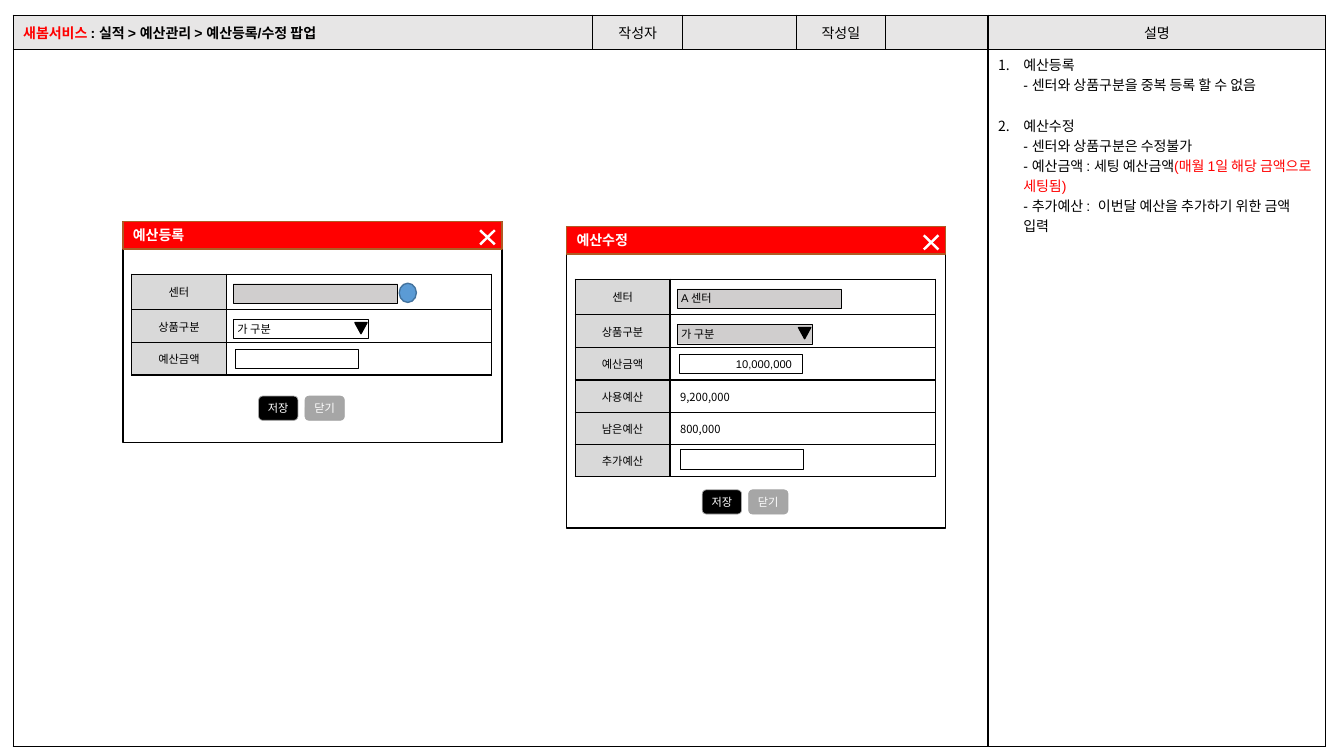
from lxml.etree import SubElement
from pptx import Presentation
from pptx.dml.color import RGBColor
from pptx.enum.shapes import MSO_SHAPE as Kind
from pptx.enum.text import MSO_ANCHOR as Anchor, PP_ALIGN as Align
from pptx.oxml import parse_xml
from pptx.oxml.ns import nsdecls, qn
from pptx.util import Inches, Pt

COLS, ROWS = 1333, 750
KOR, LAT = "Noto Sans CJK KR", "Arial"
BLACK, WHITE, RED = "000000", "FFFFFF", "FF0000"
GRAY, PALE, LOCK = "E7E6E6", "D9D9D9", "D0CECE"
LEFT, MID, RIGHT = Align.LEFT, Align.CENTER, Align.RIGHT

deck = Presentation()
deck.slide_width, deck.slide_height = Inches(13.33), Inches(7.5)
unit = deck.slide_width // COLS
slide = deck.slides.add_slide(deck.slide_layouts[6])
shapes = slide.shapes


def paint(fill, color):
    fill.solid()
    fill.fore_color.rgb = RGBColor.from_string(color)


def write(par, text, size, face, ink=BLACK, bold=False):
    for i, line in enumerate(text.split("\n")):
        if i:
            par.add_line_break()
            SubElement(par._p[-1], qn("a:rPr"), sz=str(size * 100))
        if line:
            run = par.add_run()
            run.text = line
            run.font.size, run.font.name, run.font.bold = Pt(size), face, bold
            paint(run.font.fill, ink)
            SubElement(run._r.get_or_add_rPr(), qn("a:ea"), typeface=KOR)


sheet = shapes.add_table(2, 6, 13 * unit, 15 * unit, 1302 * unit, 726 * unit).table
for col, wide in zip(sheet.columns, (575, 89, 113, 88, 102, 335)):
    col.width = wide * unit
for row, high in zip(sheet.rows, (34, 692)):
    row.height = high * unit
for i, label in enumerate(("", "작성자", "", "작성일", "", "설명")):
    cell = sheet.cell(0, i)
    paint(cell.fill, GRAY)
    cell.vertical_anchor = Anchor.MIDDLE
    par = cell.text_frame.paragraphs[0]
    if label:
        par.alignment = MID
        write(par, label, 10, LAT)
title = sheet.cell(0, 0).text_frame.paragraphs[0]
write(title, "새봄서비스 ", 10, LAT, RED, True)
write(title, ": 실적 > 예산관리 > 예산등록/수정 팝업", 10, LAT, BLACK, True)
sheet.cell(1, 0).merge(sheet.cell(1, 4))

notes = [
    [("예산등록\n- 센터와 상품구분을 중복 등록 할 수 없음", BLACK)],
    [("예산수정\n- 센터와 상품구분은 수정불가\n- 예산금액 : 세팅 예산금액", BLACK),
     ("(매월 1일 해당 금액으로 세팅됨)\n", RED),
     ("- 추가예산 :  이번달 예산을 추가하기 위한 금액 입력", BLACK)],
]
frame = sheet.cell(1, 5).text_frame
for i, note in enumerate(notes):
    par = frame.add_paragraph() if i else frame.paragraphs[0]
    props = par._p.get_or_add_pPr()
    props.set("marL", str(25 * unit))
    props.set("indent", str(-25 * unit))
    SubElement(props, qn("a:buAutoNum"), type="arabicPeriod")
    if i:
        par.space_before = Pt(14.4)
    for text, ink in note:
        write(par, text, 10, LAT, ink)

tables = [sheet]
base = [("센터", ""), ("상품구분", ""), ("예산금액", "")]
more = [("사용예산", "9,200,000"), ("남은예산", "800,000"), ("추가예산", "")]
popups = [
    (122, 220, 219, "예산등록", base, 173, "", WHITE, "",
     [(Kind.OVAL, 274, 61, 17, 19, "5B9BD5", "43739E", 1, "", None)]),
    (562, 225, 299, "예산수정", base + more, 261, "A 센터", LOCK, "10,000,000",
     [(Kind.RECTANGLE, 113, 221, 122, 19, WHITE, BLACK, 0.25, "", None)]),
]
head = (10, KOR, WHITE, True, LEFT, (10, 5, 10, 5))
entry = (8, LAT, BLACK, False, LEFT, (4, 5, 10, 5))
money = (8, LAT, BLACK, False, RIGHT, (4, 5, 10, 5))
press = (8, KOR, WHITE, False, MID, (0, 0, 0, 0))

for left, top, tall, name, lines, foot, center, tone, sum_, extra in popups:
    panel = shapes.add_shape(Kind.RECTANGLE, left * unit, top * unit, 376 * unit, tall * unit)
    panel.shadow.inherit = False
    paint(panel.fill, WHITE)
    paint(panel.line.fill, BLACK)
    panel.line.width = Pt(1)

    highs = [35, 33] + [32] * (len(lines) - 2)
    form = shapes.add_table(len(lines), 2, (left + 8.5) * unit, (top + 52) * unit,
                            357 * unit, sum(highs) * unit).table
    tables.append(form)
    form.columns[0].width, form.columns[1].width = 94 * unit, 263 * unit
    for r, (pair, high) in enumerate(zip(lines, highs)):
        form.rows[r].height = high * unit
        for c, text in enumerate(pair):
            cell = form.cell(r, c)
            paint(cell.fill, WHITE if c else PALE)
            cell.vertical_anchor = Anchor.MIDDLE
            par = cell.text_frame.paragraphs[0]
            par.alignment = LEFT if c else MID
            write(par, text, 8, KOR)

    parts = [
        (Kind.RECTANGLE, 0, 0, 376, 27, RED, "AF5C24", 1, name, head),
        (Kind.RECTANGLE, 109.5, 61.5, 163, 19, LOCK, BLACK, 0.25, center, entry),
        (Kind.RECTANGLE, 109.5, 97, 134, 19, tone, BLACK, 0.25, "가 구분", entry),
        (Kind.ISOSCELES_TRIANGLE, 230, 100, 12, 11, BLACK, BLACK, 1, "", None),
        (Kind.RECTANGLE, 111.5, 126.5, 122, 19, WHITE, BLACK, 0.25, sum_, money),
        (Kind.ROUNDED_RECTANGLE, 134.5, foot, 39, 24, BLACK, "A5A5A5", 0.5, "저장", press),
        (Kind.ROUNDED_RECTANGLE, 180.5, foot, 39, 24, "A6A6A6", "A5A5A5", 0.5, "닫기", press),
        (Kind.MATH_MULTIPLY, 347.5, 2, 28, 27, WHITE, None, 0, "", None),
    ]
    for kind, x, y, wide, high, fill, edge, weight, text, style in parts + extra:
        box = shapes.add_shape(kind, (left + x) * unit, (top + y) * unit, wide * unit, high * unit)
        box.shadow.inherit = False
        paint(box.fill, fill)
        if edge:
            paint(box.line.fill, edge)
            box.line.width = Pt(weight)
        else:
            box.line.fill.background()
        if kind == Kind.MATH_MULTIPLY:
            box.adjustments[0] = 0.09
        if kind == Kind.ISOSCELES_TRIANGLE:
            box.rotation = 180
        if text:
            size, face, ink, bold, side, pads = style
            frame = box.text_frame
            frame.word_wrap = True
            frame.vertical_anchor = Anchor.MIDDLE
            (frame.margin_left, frame.margin_top,
             frame.margin_right, frame.margin_bottom) = [p * unit for p in pads]
            par = frame.paragraphs[0]
            par.alignment = side
            write(par, text, size, face, ink, bold)

for table in tables:
    table.first_row = table.horz_banding = False
    for cell in table.iter_cells():
        props = cell._tc.get_or_add_tcPr()
        if table is sheet and cell._tc.getparent() is sheet.rows[1]._tr:
            paint(cell.fill, WHITE)
        for i, side in enumerate("LRTB"):
            props.insert(i, parse_xml(
                f'<a:ln{side} {nsdecls("a")} w="12700"><a:solidFill>'
                f'<a:srgbClr val="{BLACK}"/></a:solidFill></a:ln{side}>'))
        if not cell.text:
            SubElement(cell.text_frame.paragraphs[0]._p, qn("a:endParaRPr"), sz="800")

deck.save("out.pptx")
